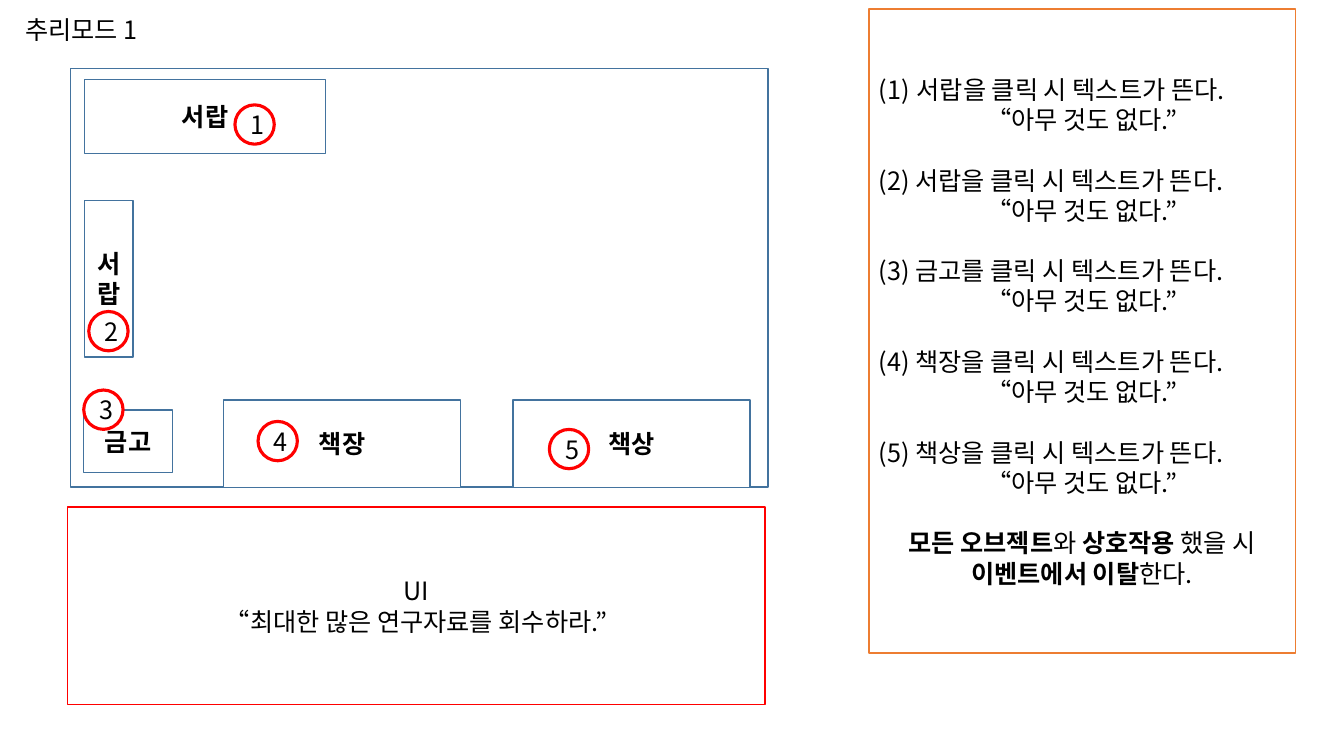
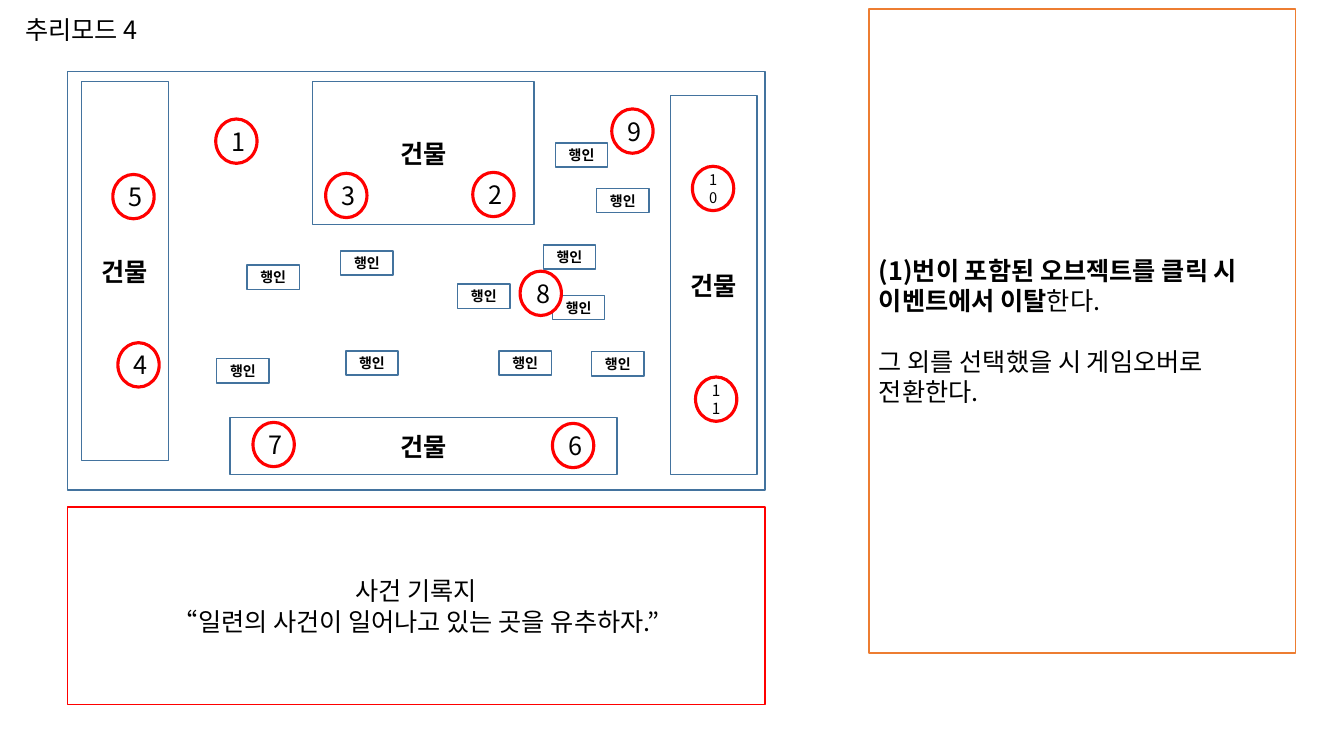
from dataclasses import dataclass

import lxml.etree
import pptx
import pptx.dml.color
import pptx.enum.shapes
import pptx.enum.text
import pptx.oxml.ns
import pptx.presentation
import pptx.shapes.autoshape
import pptx.slide
import pptx.util

Pt = pptx.util.Pt
RGBColor = pptx.dml.color.RGBColor
Align = pptx.enum.text.PP_ALIGN
Anchor = pptx.enum.text.MSO_ANCHOR
AutoSize = pptx.enum.text.MSO_AUTO_SIZE
Preset = pptx.enum.shapes.MSO_SHAPE
qn = pptx.oxml.ns.qn

BLACK = RGBColor(0x00, 0x00, 0x00)
WHITE = RGBColor(0xFF, 0xFF, 0xFF)
BLUE = RGBColor(0x43, 0x73, 0x9E)
ORANGE = RGBColor(0xED, 0x7D, 0x31)
RED = RGBColor(0xFF, 0x00, 0x00)

FONT = "Noto Sans CJK KR"
TEXT_SIZE = 18
LINE_RATIO = 1.2
NUMBER_INDENT = 27


@dataclass(frozen=True)
class Area:
    """A rectangle on the slide, in points."""

    left: float
    top: float
    width: float
    height: float


@dataclass(frozen=True)
class Line:
    """One paragraph; parts between asterisks are bold."""

    text: str
    align: Align = Align.CENTER
    gap: bool = False
    numbered: bool = False


@dataclass(frozen=True)
class Box:
    """A labelled object in the scene."""

    label: str
    area: Area
    size: float = TEXT_SIZE


@dataclass(frozen=True)
class Marker:
    """A numbered circle in the scene."""

    number: int
    left: float
    top: float
    size: float = TEXT_SIZE


@dataclass(frozen=True)
class Mode:
    """Everything that one slide shows."""

    title: str
    scene: Area
    boxes: list[Box]
    marker_size: tuple[float, float]
    markers: list[Marker]
    rules: list[Line]
    message: list[Line]


TITLE_AREA = Area(10.8, 6.5, 232.6, 28.8)
RULES_AREA = Area(620.6, 6.5, 304.6, 460.1)
MESSAGE_AREA = Area(48.2, 362.2, 498.2, 141.1)


def write_text(
    shape: pptx.shapes.autoshape.Shape,
    lines: list[Line],
    *,
    size: float = TEXT_SIZE,
    anchor: Anchor = Anchor.MIDDLE,
    auto_size: AutoSize = AutoSize.NONE,
) -> None:
    """Fill a shape with formatted paragraphs."""
    frame = shape.text_frame
    frame.word_wrap = True
    frame.auto_size = auto_size
    frame.vertical_anchor = anchor
    for index, line in enumerate(lines):
        paragraph = frame.paragraphs[0] if index == 0 else frame.add_paragraph()
        line_height = Pt(size * LINE_RATIO)
        paragraph.alignment = line.align
        paragraph.line_spacing = line_height
        paragraph.space_before = line_height if line.gap else Pt(0)
        paragraph.space_after = Pt(0)
        set_numbering(paragraph, line.numbered)
        for part, text in enumerate(line.text.split("*")):
            if text:
                run = paragraph.add_run()
                run.text = text
                run.font.size = Pt(size)
                run.font.bold = part % 2 == 1
                run.font.color.rgb = BLACK
                run.font.name = FONT
                properties = run.font._element
                lxml.etree.SubElement(properties, qn("a:ea"), typeface=FONT)


def set_numbering(paragraph: pptx.text.text._Paragraph, numbered: bool) -> None:
    """Give a paragraph a hanging (1) number, or no bullet at all."""
    properties = paragraph._p.get_or_add_pPr()
    indent = Pt(NUMBER_INDENT) if numbered else 0
    properties.set("marL", str(indent))
    properties.set("indent", str(-indent))
    if numbered:
        lxml.etree.SubElement(properties, qn("a:buAutoNum"), type="arabicParenBoth")
    else:
        lxml.etree.SubElement(properties, qn("a:buNone"))


def place(shape: pptx.shapes.autoshape.Shape, area: Area) -> None:
    """Move a placeholder to an area."""
    shape.left, shape.top = Pt(area.left), Pt(area.top)
    shape.width, shape.height = Pt(area.width), Pt(area.height)


def outline(
    shape: pptx.shapes.autoshape.Shape, color: RGBColor, width: float = 1
) -> None:
    """Give a shape a white fill and a coloured line without shadow."""
    shape.shadow.inherit = False
    shape.fill.solid()
    shape.fill.fore_color.rgb = WHITE
    shape.line.color.rgb = color
    shape.line.width = Pt(width)


def add_outlined(
    slide: pptx.slide.Slide,
    area: Area,
    color: RGBColor,
    *,
    preset: Preset = Preset.RECTANGLE,
    width: float = 1,
) -> pptx.shapes.autoshape.Shape:
    """Add an outlined preset shape."""
    shape = slide.shapes.add_shape(
        preset, Pt(area.left), Pt(area.top), Pt(area.width), Pt(area.height)
    )
    outline(shape, color, width)
    return shape


def add_mode_slide(
    presentation: pptx.presentation.Presentation, mode: Mode
) -> None:
    """Add one slide with title, rules, scene and message."""
    slide = presentation.slides.add_slide(presentation.slide_layouts[1])
    title = slide.shapes.title
    place(title, TITLE_AREA)
    write_text(
        title,
        [Line(mode.title, Align.LEFT)],
        anchor=Anchor.TOP,
        auto_size=AutoSize.SHAPE_TO_FIT_TEXT,
    )
    rules = slide.placeholders[1]
    place(rules, RULES_AREA)
    outline(rules, ORANGE)
    write_text(rules, mode.rules)

    add_outlined(slide, mode.scene, BLUE)
    for box in mode.boxes:
        shape = add_outlined(slide, box.area, BLUE)
        write_text(shape, [Line(f"*{box.label}*")], size=box.size)
    for marker in mode.markers:
        area = Area(marker.left, marker.top, *mode.marker_size)
        shape = add_outlined(slide, area, RED, preset=Preset.OVAL, width=2.25)
        write_text(shape, [Line(str(marker.number))], size=marker.size)
    write_text(add_outlined(slide, MESSAGE_AREA, RED), mode.message)


def click_rules(names: list[str]) -> list[Line]:
    """List what a click on each object shows."""
    lines = []
    for number, name in enumerate(names, start=1):
        first = number == 1
        prefix = "" if first else f"({number}) "
        text = f"{prefix}{name} 클릭 시 텍스트가 뜬다."
        lines.append(Line(text, Align.LEFT, gap=not first, numbered=first))
        lines.append(Line("“아무 것도 없다.”"))
    return lines


PEDESTRIAN_SPOTS = [
    (422.6, 251.3), (394.6, 211), (356.4, 250.6), (326.9, 203),
    (247, 250.6), (243.4, 179.3), (154.8, 256.3), (176.4, 189.4),
    (388.1, 175), (426.2, 134.6), (396.7, 102.2),
]

ROOM = Mode(
    title="추리모드 1",
    scene=Area(50.4, 49, 498.2, 298.8),
    boxes=[
        Box("금고", Area(59.8, 293, 63.4, 44.6)),
        Box("서랍", Area(60.5, 56.9, 172.1, 52.6)),
        Box("서랍", Area(60.5, 143.3, 34.6, 111.6)),
        Box("책상", Area(366.5, 285.8, 169.2, 62.6)),
        Box("책장", Area(159.8, 285.8, 169.2, 62.6)),
    ],
    marker_size=(28.1, 28.1),
    markers=[
        Marker(1, 167.8, 74.9),
        Marker(2, 63.4, 222.5),
        Marker(3, 59.8, 278.6),
        Marker(4, 184.3, 301),
        Marker(5, 392.4, 306.7),
    ],
    rules=[
        *click_rules(["서랍을", "서랍을", "금고를", "책장을", "책상을"]),
        Line("*모든 오브젝트*와 *상호작용* 했을 시", gap=True),
        Line("*이벤트에서 이탈*한다."),
    ],
    message=[Line("UI"), Line("“최대한 많은 연구자료를 회수하라.”")],
)

STREET = Mode(
    title="추리모드 4",
    scene=Area(48.2, 51.1, 498.2, 298.8),
    boxes=[
        Box("건물", Area(223.2, 58.3, 158.4, 102.2)),
        Box("건물", Area(478.8, 68.4, 61.9, 270.7)),
        Box("건물", Area(58.3, 58.3, 61.9, 270.7)),
        Box("건물", Area(164.2, 298.1, 276.5, 41)),
        *(Box("행인", Area(left, top, 37.4, 17.3), 10)
          for left, top in PEDESTRIAN_SPOTS),
    ],
    marker_size=(29.5, 31.7),
    markers=[
        Marker(1, 154.1, 85),
        Marker(2, 337.7, 123.1),
        Marker(3, 232.6, 123.8),
        Marker(4, 84.2, 244.8),
        Marker(5, 80.6, 124.6),
        Marker(6, 394.6, 302.4),
        Marker(7, 180.7, 301.7),
        Marker(8, 371.5, 193.7),
        Marker(9, 437, 77.8),
        Marker(10, 494.6, 118.8, 10.5),
        Marker(11, 496.8, 269.3, 11),
    ],
    rules=[
        Line("*(1)번이 포함된 오브젝트를 클릭 시*", Align.LEFT),
        Line("*이벤트에서 이탈*한다.", Align.LEFT),
        Line("그 외를 선택했을 시 게임오버로", Align.LEFT, gap=True),
        Line("전환한다.", Align.LEFT),
    ],
    message=[
        Line("사건 기록지"),
        Line("“일련의 사건이 일어나고 있는 곳을 유추하자.”"),
    ],
)


def main() -> None:
    """Build and save the presentation."""
    presentation = pptx.Presentation()
    presentation.slide_width = Pt(960)
    presentation.slide_height = Pt(540)
    for mode in (ROOM, STREET):
        add_mode_slide(presentation, mode)
    presentation.save("out.pptx")


main()
